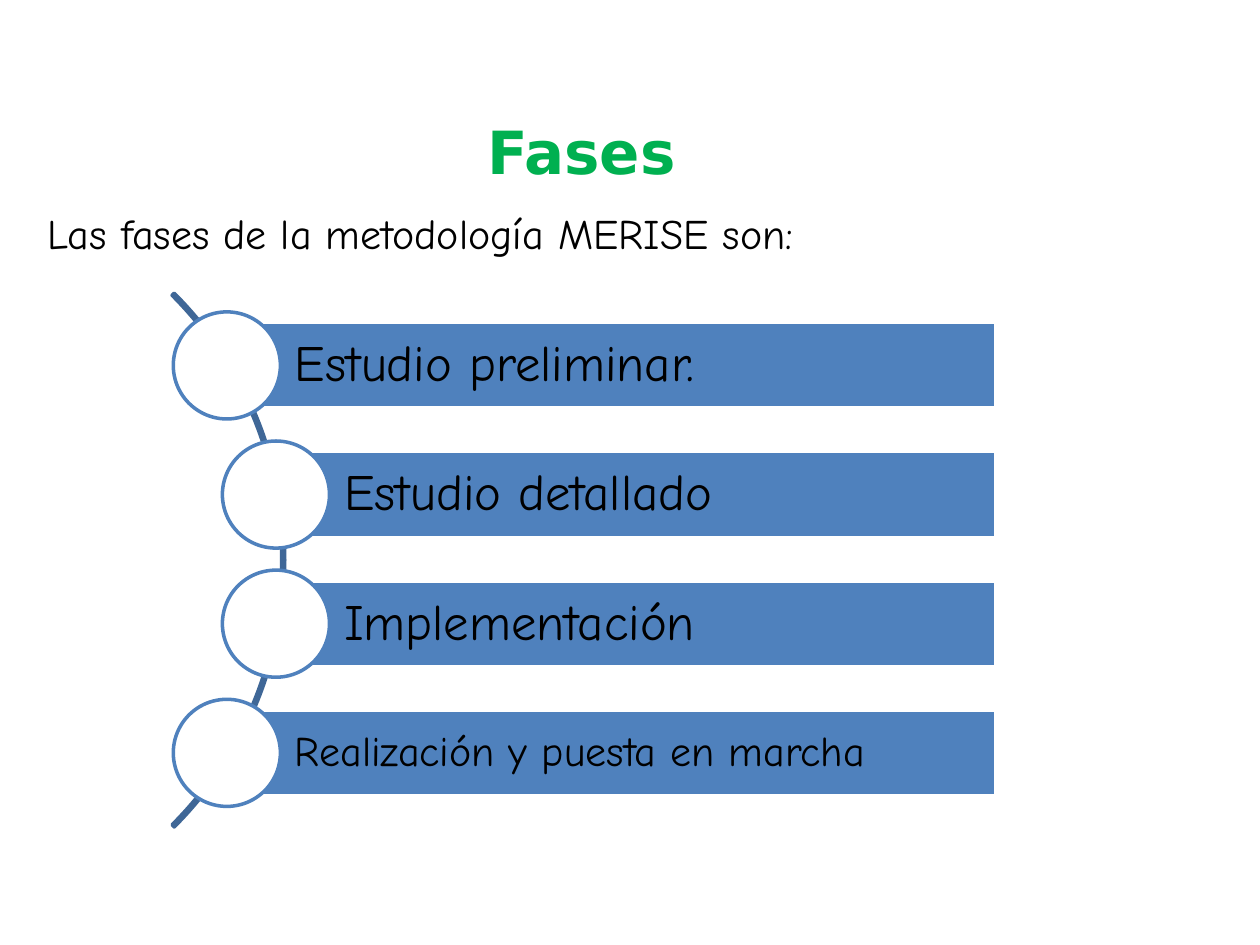
from dataclasses import dataclass

from pptx import Presentation
from pptx.dml.color import RGBColor
from pptx.enum.shapes import MSO_SHAPE
from pptx.enum.text import MSO_ANCHOR, PP_ALIGN
from pptx.util import Inches, Pt

ARC, RECT, OVAL = MSO_SHAPE.BLOCK_ARC, MSO_SHAPE.RECTANGLE, MSO_SHAPE.OVAL
TOP, MIDDLE = MSO_ANCHOR.TOP, MSO_ANCHOR.MIDDLE
LEFT, CENTER, JUSTIFY = PP_ALIGN.LEFT, PP_ALIGN.CENTER, PP_ALIGN.JUSTIFY


@dataclass(frozen=True)
class Theme:
    white: str = "FFFFFF"
    black: str = "000000"
    green: str = "00B050"
    blue: str = "4F81BD"
    navy: str = "3F6797"
    head: str = "DejaVu Sans"
    body: str = "Comic Neue"
    title: float = 34
    large: float = 29
    small: float = 24
    line: float = 2


@dataclass(frozen=True)
class Phase:
    text: str
    mid: float  # centre of the circle, start of the bar
    size: float
    pad: float = 0.08
    align: PP_ALIGN = LEFT


THEME = Theme()
OUTER, INNER = 1.8, 2.19
PHASES = (
    Phase("Estudio preliminar.", OUTER, THEME.large, align=JUSTIFY),
    Phase("Estudio detallado", INNER, THEME.large),
    Phase("Implementación", INNER, THEME.large),
    Phase("Realización y puesta en marcha", OUTER, THEME.small, pad=0.07),
)
FIRST, STEP = 2.9, 1.025  # centre of the first row, distance between rows
RIGHT, BAR, DISC = 7.9, 0.68, 0.85


def write(shape, text: str, *, size: float, font: str = THEME.body,
          color: str = THEME.black, bold: bool = False, align=LEFT,
          anchor=TOP, spacing: float = 1.0) -> None:
    frame = shape.text_frame
    frame.word_wrap = True
    frame.vertical_anchor = anchor
    para = frame.paragraphs[0]
    para.alignment = align
    para.line_spacing = spacing
    run = para.add_run()
    run.text = text
    run.font.name = font
    run.font.size = Pt(size)
    run.font.bold = bold
    run.font.color.rgb = RGBColor.from_string(color)


def draw(slide, kind, x: float, y: float, w: float, h: float, *,
         line: str, fill: str = ""):
    shape = slide.shapes.add_shape(kind, Inches(x), Inches(y), Inches(w), Inches(h))
    shape.shadow.inherit = False
    if fill:
        shape.fill.solid()
        shape.fill.fore_color.rgb = RGBColor.from_string(fill)
    else:
        shape.fill.background()
    shape.line.color.rgb = RGBColor.from_string(line)
    shape.line.width = Pt(THEME.line)
    return shape


def draw_phase(slide, phase: Phase, y: float) -> None:
    bar = draw(slide, RECT, phase.mid, y - BAR / 2, RIGHT - phase.mid, BAR,
               line=THEME.white, fill=THEME.blue)
    frame = bar.text_frame
    frame.margin_left = Inches(0.54)
    frame.margin_top = frame.margin_right = frame.margin_bottom = Inches(phase.pad)
    write(bar, phase.text, size=phase.size, align=phase.align,
          anchor=MIDDLE, spacing=0.9)
    draw(slide, OVAL, phase.mid - DISC / 2, y - DISC / 2, DISC, DISC,
         line=THEME.blue, fill=THEME.white)


def main() -> None:
    deck = Presentation()
    deck.slide_width, deck.slide_height = Inches(10), Inches(7.5)
    slide = deck.slides.add_slide(deck.slide_layouts[6])

    # Title and introduction
    title = slide.shapes.add_textbox(Inches(-0.03), Inches(0.86), Inches(9.29), Inches(1.25))
    write(title, "Fases", size=THEME.title, font=THEME.head,
          color=THEME.green, bold=True, align=CENTER)
    intro = slide.shapes.add_textbox(Inches(0.28), Inches(1.6), Inches(9.29), Inches(0.5))
    write(intro, "Las fases de la metodología MERISE son:",
          size=THEME.small, align=JUSTIFY)

    # Arc behind the circles: start angle, end angle, thickness
    arc = draw(slide, ARC, -3.73, 1.45, 5.99, 5.99, line=THEME.navy)
    for i, value in enumerate((189, 27, 0.004)):
        arc.adjustments[i] = value

    # Phases
    for i, phase in enumerate(PHASES):
        draw_phase(slide, phase, FIRST + i * STEP)

    deck.save("out.pptx")


if __name__ == "__main__":
    main()
